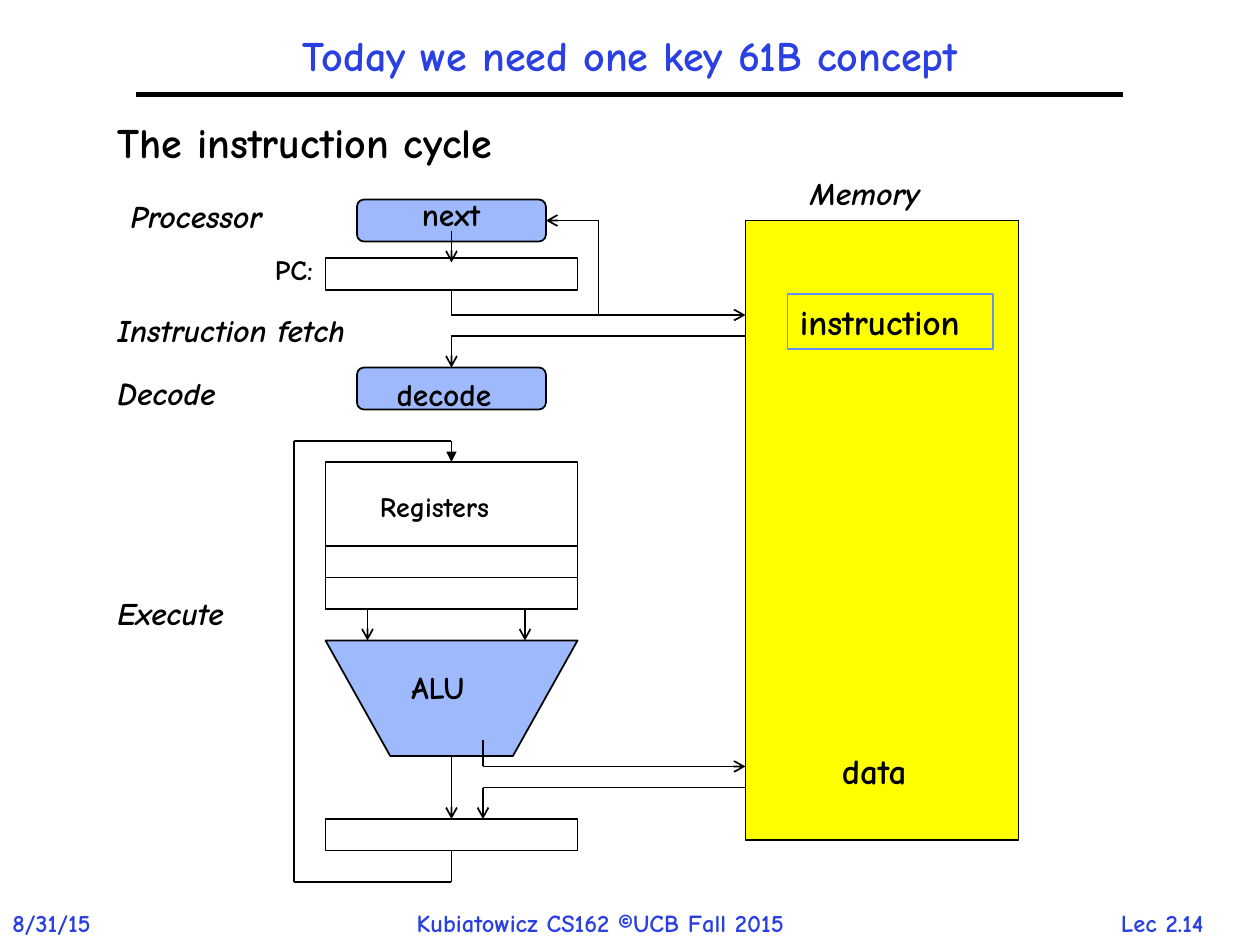
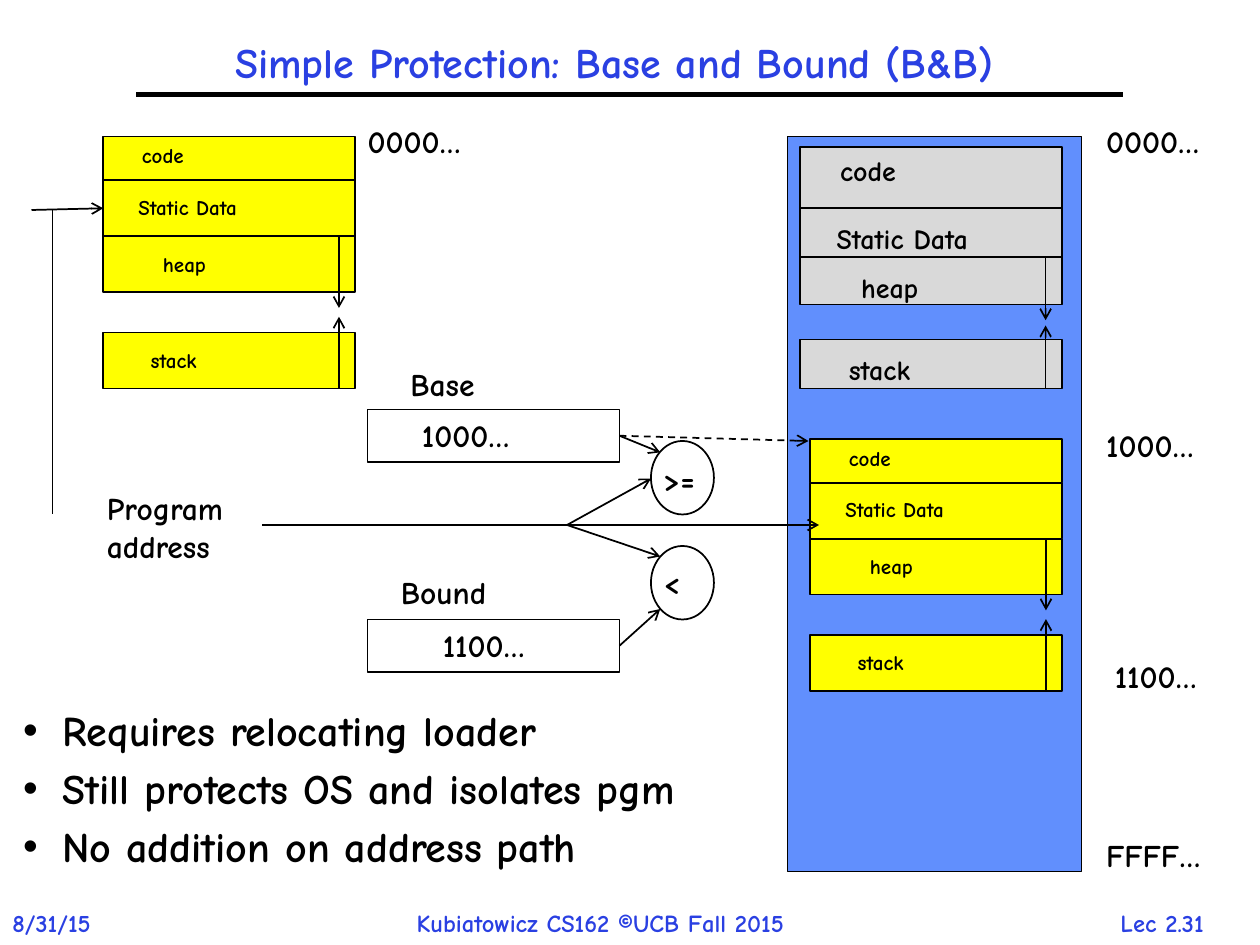
"""Build two lecture slides: the instruction cycle and base-and-bound protection."""
from lxml.etree import SubElement
from pptx import Presentation
from pptx.dml.color import RGBColor
from pptx.enum.dml import MSO_LINE
from pptx.enum.shapes import MSO_CONNECTOR, MSO_SHAPE
from pptx.enum.text import MSO_ANCHOR, MSO_AUTO_SIZE, PP_ALIGN
from pptx.oxml.ns import qn
from pptx.util import Pt

FONT = "Comic Neue"
COLORS = {"ink": "000000", "heading": "2A40E2", "blue": "618FFD",
          "yellow": "FFFF00", "grey": "D9D9D9", "paper": "FFFFFF"}


def write(slide, text, box, holder=None, preset=None, fill=None, alpha=None,
          outline="ink", weight=1, size=18, color="ink", italic=False,
          align=PP_ALIGN.LEFT, anchor=MSO_ANCHOR.TOP, leading=None, before=None,
          bullet=None):
    """Put text in a placeholder, a preset shape or a text box, and format it."""
    place = [Pt(length) for length in box]
    if holder is not None:
        target = holder
        target.left, target.top, target.width, target.height = place
    elif preset is not None:
        target = slide.shapes.add_shape(preset, *place)
        target.shadow.inherit = False
        target.line.color.rgb = RGBColor.from_string(COLORS[outline])
        target.line.width = Pt(weight)
        if fill:
            target.fill.solid()
            target.fill.fore_color.rgb = RGBColor.from_string(COLORS[fill])
        else:
            target.fill.background()
        if alpha:
            tint = target.element.spPr.find(qn("a:solidFill")).find(qn("a:srgbClr"))
            SubElement(tint, qn("a:alpha"), val=str(alpha * 1000))
    else:
        target = slide.shapes.add_textbox(*place)
    if not text:
        return target
    frame = target.text_frame
    frame.text = text
    frame.word_wrap = holder is not None
    frame.auto_size = MSO_AUTO_SIZE.NONE if holder is not None else MSO_AUTO_SIZE.SHAPE_TO_FIT_TEXT
    frame.vertical_anchor = anchor
    for paragraph in frame.paragraphs:
        paragraph.alignment = align
        if leading:
            paragraph.line_spacing = leading
        if before is not None:
            paragraph.space_before = Pt(before)
        if bullet is not None:
            props = paragraph._p.get_or_add_pPr()
            indent = Pt(22.5) if bullet else 0
            props.set("marL", str(indent))
            props.set("indent", str(-indent))
            if bullet:
                SubElement(props, qn("a:buChar"), char=bullet)
            else:
                SubElement(props, qn("a:buNone"))
        for run in paragraph.runs:
            run.font.name = FONT
            run.font.size = Pt(size)
            run.font.bold = True
            run.font.italic = italic
            run.font.color.rgb = RGBColor.from_string(COLORS[color])
    return target


def connect(slide, *points, head="arrow", weight=1, dash=None):
    """Draw straight lines through the points, with a head on the last one."""
    for start, end in zip(points, points[1:]):
        wire = slide.shapes.add_connector(
            MSO_CONNECTOR.STRAIGHT, *[Pt(length) for length in start + end])
        wire.line.color.rgb = RGBColor.from_string(COLORS["ink"])
        wire.line.width = Pt(weight)
        if dash:
            wire.line.dash_style = dash
        if head and end == points[-1]:
            SubElement(wire.line._get_or_add_ln(), qn("a:tailEnd"), type=head)
        SubElement(wire.element.spPr, qn("a:effectLst"))


deck = Presentation()
deck.slide_width, deck.slide_height = Pt(720), Pt(540)

lectures = [
    ("Today we need one key 61B concept", (78, 12, 564, 42), "Lec 2.14",
     "The instruction cycle", (60, 66, 600, 36), ""),
    ("Simple Protection: Base and Bound (B&B)", (48, 8, 606, 58), "Lec 2.31",
     "Requires relocating loader\nStill protects OS and isolates pgm\n"
     "No addition on address path", (6, 402, 444, 120), "•"),
]
for title, title_box, number, points, points_box, bullet in lectures:
    slide = deck.slides.add_slide(deck.slide_layouts[1])
    slide.background.fill.solid()
    slide.background.fill.fore_color.rgb = RGBColor.from_string(COLORS["paper"])
    write(slide, title, title_box, holder=slide.shapes.title, size=24, color="heading",
          align=PP_ALIGN.CENTER, anchor=MSO_ANCHOR.MIDDLE, leading=0.9)
    write(slide, points, points_box, holder=slide.placeholders[1], size=24,
          leading=0.9, before=7.2, bullet=bullet)
    connect(slide, (78, 54), (642, 54), head=None, weight=3)
    write(slide, number, (620.6, 515.5, 87, 24), size=14, color="heading",
          align=PP_ALIGN.CENTER)
    write(slide, "8/31/15", (0, 515.5, 72, 24), size=14, color="heading")
    write(slide, "Kubiatowicz CS162 ©UCB Fall 2015", (231, 515.5, 260, 24),
          size=14, color="heading")

cycle, protection = deck.slides

for top in (114, 210):
    write(cycle, "", (204, top, 108, 24), preset=MSO_SHAPE.ROUNDED_RECTANGLE,
          fill="blue", alpha=61)
alu = write(cycle, "", (186, 366, 144, 66), preset=MSO_SHAPE.TRAPEZOID,
            fill="blue", alpha=61)
alu.adjustments[0] = 0.56
alu.rotation = 180
for top, height in ((147.6, 18), (264, 84), (312, 18), (468, 18)):
    write(cycle, "", (186, top, 144, height), preset=MSO_SHAPE.RECTANGLE)
write(cycle, "", (426, 126, 156, 354), preset=MSO_SHAPE.RECTANGLE, fill="yellow")
write(cycle, "instruction", (450, 168, 117.5, 31.5), preset=MSO_SHAPE.RECTANGLE,
      outline="blue", weight=0.75, size=20)

for stage, left, top, width in (("Processor", 67.5, 109, 101),
                                ("Instruction fetch", 60, 174, 147),
                                ("Decode", 60, 210, 81),
                                ("Execute", 60, 336, 84),
                                ("Memory", 456, 96, 84)):
    write(cycle, stage, (left, top, width, 29), italic=True)
for part, left, top, width, size in (("PC:", 150, 141, 42, 16),
                                     ("Registers", 210, 276, 83, 16),
                                     ("ALU", 228, 378, 51, 18),
                                     ("next", 234, 108, 49, 18),
                                     ("decode", 219.5, 211, 74, 18),
                                     ("data", 474, 425, 58, 20)):
    write(cycle, part, (left, top, width, 29), size=size)

for route in (((258, 132), (258, 150)),
              ((258, 165.6), (258, 180), (426, 180)),
              ((342, 180), (342, 126), (312, 126)),
              ((426, 192), (258, 192), (258, 210)),
              ((210, 348), (210, 366)),
              ((300, 348), (300, 366)),
              ((258, 432), (258, 468)),
              ((276, 423), (276, 438), (426, 438)),
              ((426, 450), (276, 450), (276, 468))):
    connect(cycle, *route)
connect(cycle, (258, 486), (258, 504), (168, 504), (168, 252), (258, 252),
        (258, 264), head="triangle")

write(protection, "", (450, 78, 168, 420), preset=MSO_SHAPE.RECTANGLE, fill="blue")

program = [("code", 0, 25, 15, 0, 47), ("Static Data", 25, 32, 13, 4.5, 84),
           ("heap", 57, 32, 27, 5, 48), ("stack", 112, 32, 20, 5, 49)]
resident = [("code", 0, 35, 16, 0, 56), ("Static Data", 35, 28, 14, 4, 106),
            ("heap", 63, 27, 28, 4, 58), ("stack", 110, 28, 21, 4, 60)]
for left, top, width, fill, size, segments, growth_x, reach in (
        (457, 84, 150, "grey", 16, resident, 140.5, 36),
        (463, 250.8, 144, "yellow", 12, program, 134.7, 41),
        (59, 78, 144, "yellow", 12, program, 134.7, 41)):
    for name, offset, height, label_x, label_y, label_width in segments:
        write(protection, "", (left, top + offset, width, height),
              preset=MSO_SHAPE.RECTANGLE, fill=fill)
        write(protection, name, (left + label_x, top + offset + label_y, label_width, 29),
              size=size)
    heap_top = top + segments[2][1]
    stack_bottom = top + segments[3][1] + segments[3][2]
    for start, step in ((heap_top, reach), (stack_bottom, -reach)):
        connect(protection, (left + growth_x, start), (left + growth_x, start + step))

for top in (234, 354):
    write(protection, "", (210, top, 144, 30), preset=MSO_SHAPE.RECTANGLE)
for top in (252, 312):
    write(protection, "", (372, top, 36, 42), preset=MSO_SHAPE.OVAL)
for label, left, top, width in (("0000…", 625, 66, 73), ("1000…", 625, 240, 73),
                                ("1100…", 630, 372, 72), ("FFFF…", 625, 474, 77),
                                ("0000…", 203, 66, 73), ("Base", 227.5, 205, 56),
                                ("1000…", 234, 234, 73), ("Bound", 222, 324, 67),
                                ("1100…", 246, 354, 71), (">=", 372, 259.5, 36),
                                ("<", 372, 318, 25),
                                ("Program\naddress", 54, 276, 84)):
    write(protection, label, (left, top, width, 29))

connect(protection, (354, 249), (462, 252), dash=MSO_LINE.DASH)
for start, end in (((354, 249), (377.3, 258.5)), ((324, 300), (372, 273.5)),
                   ((324, 300), (377.3, 318)), ((354, 369), (377.3, 348)),
                   ((150, 300), (468, 300)), ((18, 120), (59, 119))):
    connect(protection, start, end)
connect(protection, (30, 120), (30, 294), head=None)

deck.save("out.pptx")
